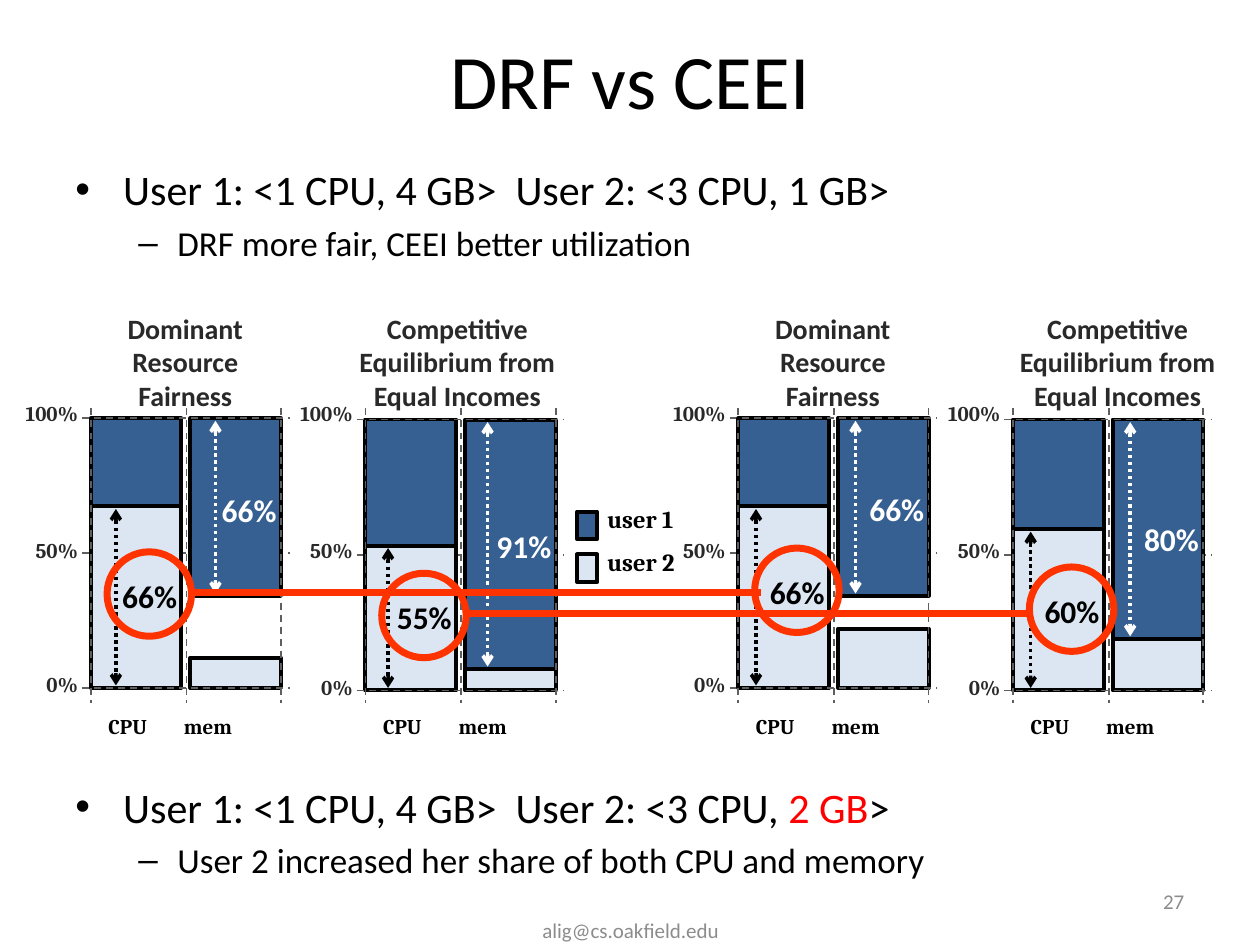
from pptx import Presentation
from pptx.util import Inches, Pt
from pptx.dml.color import RGBColor
from pptx.enum.dml import MSO_LINE
from pptx.enum.shapes import MSO_SHAPE, MSO_CONNECTOR
from pptx.enum.text import PP_ALIGN, MSO_ANCHOR
from pptx.oxml.ns import qn
from lxml.etree import SubElement

BLACK = RGBColor(0x00, 0x00, 0x00)
WHITE = RGBColor(0xFF, 0xFF, 0xFF)
DARK = RGBColor(0x29, 0x29, 0x29)
GRAY = RGBColor(0x8C, 0x8C, 0x8C)
GRID = RGBColor(0x5F, 0x5F, 0x5F)
USER1 = RGBColor(0x37, 0x60, 0x92)
USER2 = RGBColor(0xDC, 0xE6, 0xF2)
RED = RGBColor(0xFF, 0x00, 0x00)
RING = RGBColor(0xFF, 0x33, 0x00)

prs = Presentation()
prs.slide_width, prs.slide_height = Inches(10), Inches(7.5)
s = prs.slides.add_slide(prs.slide_layouts[6])


def add_text(text, x, y, w, h, size, color, font="Calibri", bold=False,
             align=PP_ALIGN.LEFT, anchor=MSO_ANCHOR.TOP):
    tf = s.shapes.add_textbox(Inches(x), Inches(y), Inches(w), Inches(h)).text_frame
    tf.word_wrap = True
    tf.margin_left = tf.margin_right = tf.margin_top = tf.margin_bottom = 0
    tf.vertical_anchor = anchor
    p = tf.paragraphs[0]
    p.alignment = align
    r = p.add_run()
    r.text = text
    r.font.size, r.font.name, r.font.bold = Pt(size), font, bold
    r.font.color.rgb = color


def add_line(x1, y1, x2, y2, color, width, dash=None, arrows=False):
    c = s.shapes.add_connector(MSO_CONNECTOR.STRAIGHT, Inches(x1), Inches(y1),
                               Inches(x2), Inches(y2))
    c.line.color.rgb, c.line.width = color, Pt(width)
    if dash:
        c.line.dash_style = dash
    if arrows:
        for end in ("a:headEnd", "a:tailEnd"):
            SubElement(c.line._get_or_add_ln(), qn(end), type="arrow")
    SubElement(c._element.spPr, qn("a:effectLst"))


# Title
add_text("DRF vs CEEI", 0.5, 0, 9, 1.25, 44, BLACK,
         align=PP_ALIGN.CENTER, anchor=MSO_ANCHOR.MIDDLE)

# Bullets above and below the charts
bullets = [
    (1.25, [("User 1: <1 CPU, 4 GB>  User 2: <3 CPU, 1 GB>", BLACK)],
     "DRF more fair, CEEI better utilization"),
    (6.15, [("User 1: <1 CPU, 4 GB>  User 2: <3 CPU, ", BLACK), ("2 GB", RED), (">", BLACK)],
     "User 2 increased her share of both CPU and memory"),
]
for y, head, detail in bullets:
    tf = s.shapes.add_textbox(Inches(0.5), Inches(y), Inches(9), Inches(0.95)).text_frame
    tf.word_wrap = True
    levels = [("•", 24, 0.38, 0.38, head), ("–", 20, 0.81, 0.31, [(detail, BLACK)])]
    for i, (mark, size, left, hang, runs) in enumerate(levels):
        p = tf.add_paragraph() if i else tf.paragraphs[0]
        p.level = i
        p.space_before = Pt(size * 0.2)
        pPr = p._p.get_or_add_pPr()
        pPr.set("marL", str(Inches(left)))
        pPr.set("indent", str(-Inches(hang)))
        SubElement(pPr, qn("a:buFont"), typeface="Arial")
        SubElement(pPr, qn("a:buChar"), char=mark)
        for text, color in runs:
            r = p.add_run()
            r.text = text
            r.font.size, r.font.name = Pt(size), "Calibri"
            r.font.color.rgb = color

# Slide number and footer
add_text("27", 7.17, 6.95, 2.23, 0.4, 12, GRAY,
         align=PP_ALIGN.RIGHT, anchor=MSO_ANCHOR.MIDDLE)
add_text("alig@cs.oakfield.edu", 3.42, 7.18, 3.17, 0.4, 12, GRAY,
         align=PP_ALIGN.CENTER, anchor=MSO_ANCHOR.MIDDLE)

# Panels: left, top, base, CPU split, end of user 1 memory, start of user 2 memory,
# arrow offset, CPU share and its top, memory share and its top, heading and its centre
DRF = "Dominant Resource Fairness"
CEEI = "Competitive Equilibrium from Equal Incomes"
panels = [
    (0.72, 3.32, 5.46, 4.02, 4.73, 5.22, 0.2, "66%", 4.53, "66%", 3.85, DRF, 1.47),
    (2.9, 3.33, 5.48, 4.33, 5.31, 5.31, 0.18, "55%", 4.7, "91%", 4.13, CEEI, 3.63),
    (5.86, 3.32, 5.46, 4.02, 4.73, 4.99, 0.14, "66%", 4.5, "66%", 3.84, DRF, 6.61),
    (8.04, 3.33, 5.48, 4.2, 5.07, 5.07, 0.14, "60%", 4.65, "80%", 4.08, CEEI, 8.87),
]
BAR_W, STEP = 0.72, 0.79

# Legend swatches and the stacked bars
boxes = [(4.58, 4.06, 0.16, 0.22, USER1), (4.58, 4.4, 0.16, 0.22, USER2)]
for x, top, base, split, mem1, mem2, *_ in panels:
    add_line(x - 0.07, (top + base) / 2, x + 1.58, (top + base) / 2, GRID, 1, MSO_LINE.DASH)
    boxes += [(x, split, BAR_W, base - split, USER2),
              (x + STEP, mem2, BAR_W, base - mem2, USER2),
              (x + STEP, top, BAR_W, mem1 - top, USER1),
              (x, top, BAR_W, split - top, USER1)]
for x, y, w, h, color in boxes:
    sp = s.shapes.add_shape(MSO_SHAPE.RECTANGLE, Inches(x), Inches(y), Inches(w), Inches(h))
    sp.shadow.inherit = False
    sp.fill.solid()
    sp.fill.fore_color.rgb = color
    sp.line.color.rgb, sp.line.width = BLACK, Pt(2.25)
for text, y in (("user 1", 4), ("user 2", 4.34)):
    add_text(text, 4.82, y, 0.7, 0.24, 14, BLACK, "Cambria", True)

# Grid, axis labels, headings, arrows and shares
for (x, top, base, split, mem1, mem2, dx, cpu, cpu_y, mem, mem_y,
     heading, center) in panels:
    for y in (top, base):
        add_line(x - 0.07, y, x + 1.58, y, GRID, 1, MSO_LINE.DASH)
    for offset in (0, 0.76, 1.51):
        add_line(x + offset, 3.24, x + offset, 5.58, GRID, 1, MSO_LINE.DASH)
    for text, y in (("100%", 3.18), ("50%", 4.27), ("0%", base - 0.13)):
        add_text(text, x - 0.75, y, 0.65, 0.2, 12, DARK, "Cambria", True, PP_ALIGN.RIGHT)
    for text, offset in (("CPU", 0.14), ("mem", 0.74)):
        add_text(text, x + offset, 5.66, 0.5, 0.2, 12, BLACK, "Cambria", True)
    width = 1.32 if heading == DRF else 1.94
    add_text(heading, center - width / 2, 2.47, width, 0.81, 16, DARK,
             bold=True, align=PP_ALIGN.CENTER)
    shares = [(x, split, base, cpu, cpu_y, BLACK), (x + STEP, top, mem1, mem, mem_y, WHITE)]
    for left, y1, y2, text, y, color in shares:
        add_line(left + dx, y1 + 0.02, left + dx, y2 - 0.02, color, 2,
                 MSO_LINE.ROUND_DOT, True)
        add_text(text, left + 0.25, y + 0.05, 0.6, 0.3, 18, color, bold=True)

# Rings around the CPU shares, joined across the two examples
for panel in panels:
    sp = s.shapes.add_shape(MSO_SHAPE.OVAL, Inches(panel[0] + 0.13), Inches(panel[8] - 0.15),
                            Inches(0.67), Inches(0.67))
    sp.shadow.inherit = False
    sp.fill.background()
    sp.line.color.rgb, sp.line.width = RING, Pt(4)
for x1, x2, y in ((1.54, 6.04, 4.7), (3.7, 8.2, 4.87)):
    add_line(x1, y, x2, y, RING, 4)

prs.save("out.pptx")
